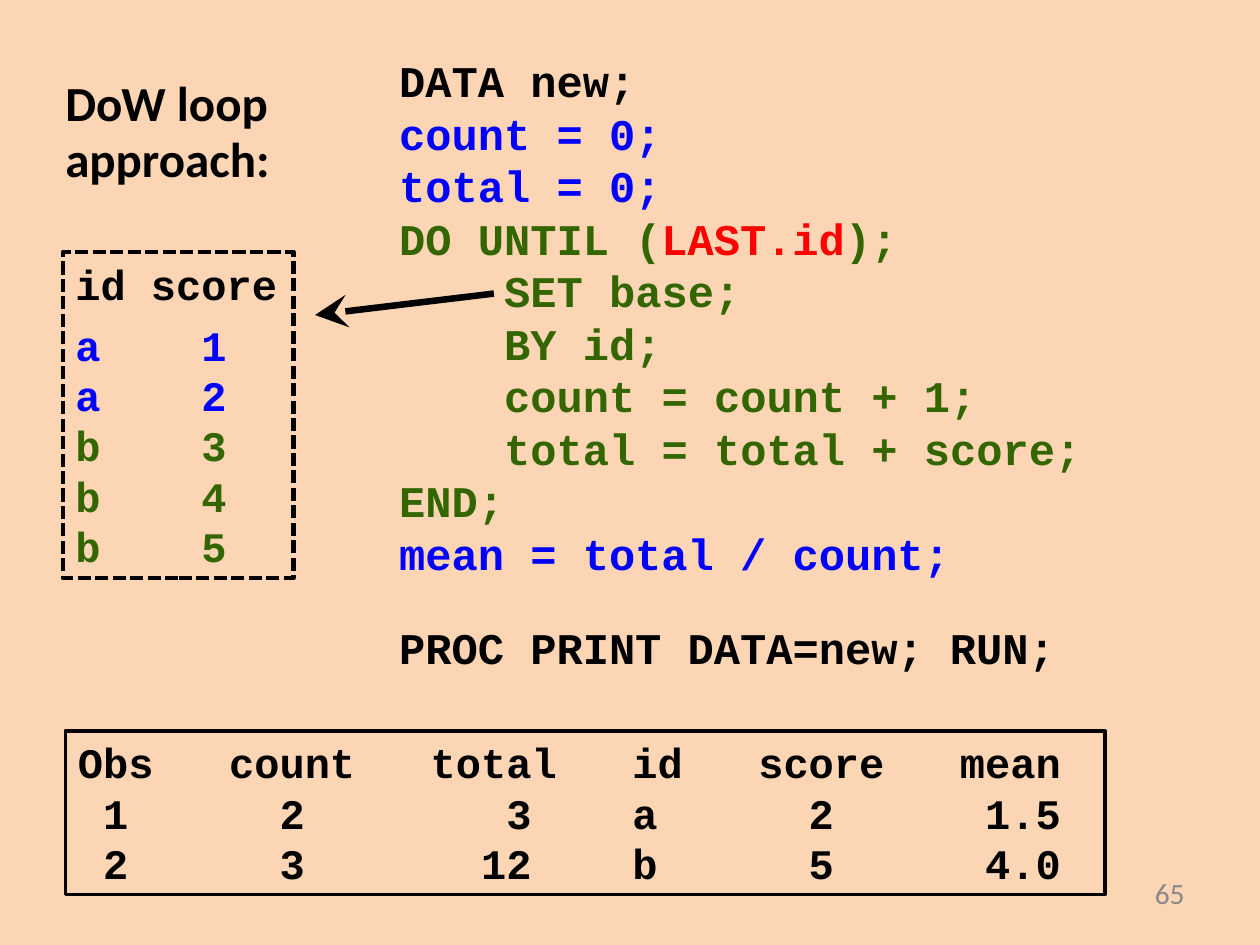
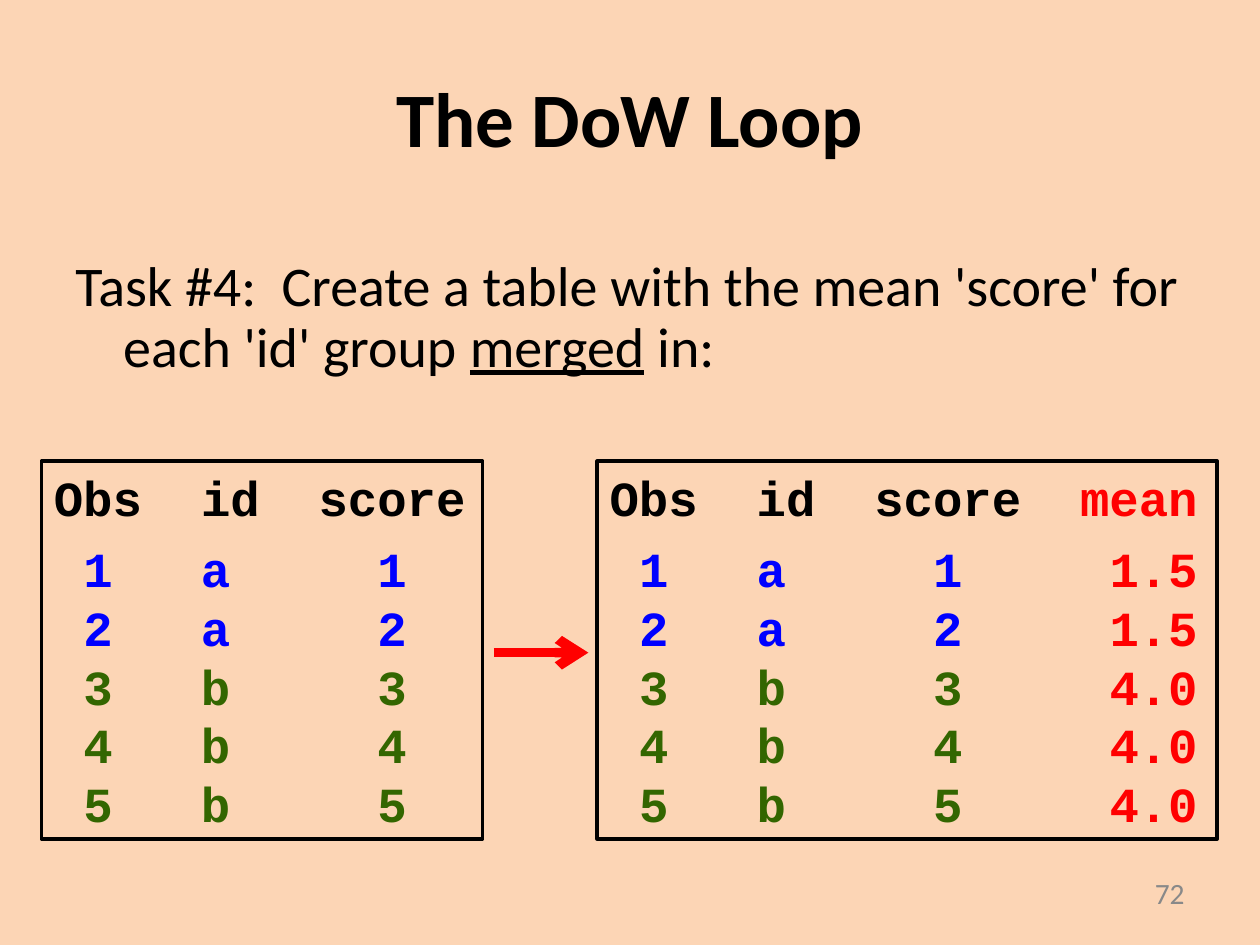
import dataclasses
import typing

import lxml.etree
import pptx
import pptx.dml.color
import pptx.enum.dml
import pptx.enum.shapes
import pptx.enum.text
import pptx.oxml.ns
import pptx.util

Inches = pptx.util.Inches
Pt = pptx.util.Pt
Align = pptx.enum.text.PP_ALIGN
Anchor = pptx.enum.text.MSO_ANCHOR
Dash = pptx.enum.dml.MSO_LINE
qn = pptx.oxml.ns.qn


# Theme
@dataclasses.dataclass(frozen=True)
class Theme:
    back: str = "FCD5B5"
    black: str = "000000"
    blue: str = "0000FF"
    green: str = "336600"
    red: str = "FF0000"
    gray: str = "898989"
    sans: str = "Calibri"
    mono: str = "Courier New"
    title: float = 44
    body: float = 32
    label: float = 28
    code: float = 25
    small: float = 24
    large: float = 28
    page: float = 16.8
    pitch: float = 0.6  # width of a mono letter, in ems


T = Theme()


class Box(typing.NamedTuple):
    left: float
    top: float
    width: float
    height: float


class Run(typing.NamedTuple):
    text: str
    color: str = T.black
    under: bool = False


@dataclasses.dataclass
class Para:
    runs: list[Run]
    align: Align = Align.LEFT
    space: float = 1.0
    before: float = 0
    after: float = 0
    margin: float = 0
    hang: float = 0
    stops: tuple[float, ...] = ()


@dataclasses.dataclass
class Style:
    size: float
    font: str = T.sans
    bold: bool = False
    anchor: Anchor = Anchor.TOP


@dataclasses.dataclass
class Table:
    box: Box
    size: float
    heads: tuple[int, ...]  # right edges of the heading words, in letters
    ends: tuple[int, ...]  # right edges of the values, in letters
    rows: list[list[Run]]
    gap: float = 0
    weight: float = 2
    dash: Dash | None = None


# Text
def rgb(code: str) -> pptx.dml.color.RGBColor:
    return pptx.dml.color.RGBColor.from_string(code)


def letters(count: float, size: float) -> float:
    return count * size * T.pitch / 72


def write(shape, paras: list[Para], style: Style) -> None:
    frame = shape.text_frame
    frame.word_wrap = True
    frame.vertical_anchor = style.anchor
    for i, para in enumerate(paras):
        p = frame.paragraphs[0] if i == 0 else frame.add_paragraph()
        p.alignment = para.align
        p.line_spacing = para.space
        p.space_before = Pt(para.before)
        p.space_after = Pt(para.after)
        props = p._p.get_or_add_pPr()
        # An explicit indent resets the tab stops, so set it only when needed
        if para.margin:
            props.set("marL", str(Inches(para.margin)))
        if para.hang:
            props.set("indent", str(Inches(-para.hang)))
        if para.stops:
            tabs = lxml.etree.SubElement(props, qn("a:tabLst"))
            for stop in para.stops:
                lxml.etree.SubElement(tabs, qn("a:tab"), pos=str(Inches(stop)), algn="r")
        for part in para.runs:
            run = p.add_run()
            run.text = part.text
            font = run.font
            font.name, font.size, font.bold = style.font, Pt(style.size), style.bold
            font.underline = part.under
            font.color.rgb = rgb(part.color)


def add_text(slide, box: Box, paras: list[Para], style: Style) -> None:
    write(slide.shapes.add_textbox(*map(Inches, box)), paras, style)


# Framed listing, its columns set by right tabs
def align_row(row: list[Run], edges: tuple[int, ...], size: float, gap: float) -> Para:
    flush = len(row[0].text) == edges[0]  # first cell starts at the margin
    runs = [cell if flush and i == 0 else cell._replace(text="\t" + cell.text)
            for i, cell in enumerate(row)]
    stops = edges[1:] if flush else edges
    return Para(runs, after=gap, stops=tuple(letters(edge, size) for edge in stops))


def add_list(slide, table: Table) -> None:
    shape = slide.shapes.add_shape(
        pptx.enum.shapes.MSO_SHAPE.RECTANGLE, *map(Inches, table.box))
    shape.shadow.inherit = False
    shape.fill.background()
    shape.line.color.rgb = rgb(T.black)
    shape.line.width = Pt(table.weight)
    if table.dash:
        shape.line.dash_style = table.dash
    head, *rest = table.rows
    paras = [align_row(head, table.heads, table.size, table.gap)]
    paras += [align_row(row, table.ends, table.size, 0) for row in rest]
    write(shape, paras, Style(table.size, T.mono, True))


def cells(words: str, color: str = T.black) -> list[Run]:
    return [Run(word, color) for word in words.split()]


def add_arrow(slide, start: tuple[float, float], end: tuple[float, float],
              color: str, weight: float, head: str, scale: str = "med") -> None:
    line = slide.shapes.add_connector(
        pptx.enum.shapes.MSO_CONNECTOR.STRAIGHT, *map(Inches, start + end))
    line.line.color.rgb = rgb(color)
    line.line.width = Pt(weight)
    lxml.etree.SubElement(line.line._get_or_add_ln(), qn("a:tailEnd"),
                          type=head, w=scale, len=scale)
    lxml.etree.SubElement(line._element.spPr, qn("a:effectLst"))


def add_slide(deck, page: str):
    slide = deck.slides.add_slide(deck.slide_layouts[6])
    slide.background.fill.solid()
    slide.background.fill.fore_color.rgb = rgb(T.back)
    add_text(slide, Box(7.17, 6.91, 2.33, 0.4),
             [Para([Run(page, T.gray)], Align.RIGHT, space=0.8)],
             Style(T.page, anchor=Anchor.MIDDLE))
    return slide


def groups() -> list[tuple[str, int, str]]:
    return [(key, i, T.blue if key == "a" else T.green)
            for i, key in enumerate("aabbb", 1)]


# Slide with the loop code
def draw_code(deck) -> None:
    slide = add_slide(deck, "65")
    add_text(slide, Box(0.42, 0.58, 1.92, 1),
             [Para([Run(word)], space=0.9, after=1.8, margin=0.38, hang=0.38)
              for word in ("DoW loop", "approach:")],
             Style(T.label, bold=True))
    add_list(slide, Table(
        Box(0.52, 5.8, 8.25, 1.3), T.small,
        (3, 11, 19, 24, 32, 39), (2, 9, 18, 23, 30, 39),
        [cells("Obs count total id score mean"),
         cells("1 2 3 a 2 1.5"),
         cells("2 3 12 b 5 4.0")]))

    step = letters(4, T.code)
    code = [Para([Run("DATA new;")])]
    code += [Para([Run(text, T.blue)]) for text in ("count = 0;", "total = 0;")]
    code.append(Para([Run("DO UNTIL (", T.green), Run("LAST.id", T.red),
                      Run(");", T.green)]))
    code += [Para([Run(text, T.green)], margin=step) for text in (
        "SET base;", "BY id;", "count = count + 1;", "total = total + score;")]
    code += [Para([Run("END;", T.green)]),
             Para([Run("mean = total / count;", T.blue)]),
             Para([Run("PROC PRINT DATA=new; RUN;")], before=24)]
    add_text(slide, Box(3.07, 0.38, 5.71, 5.02), code, Style(T.code, T.mono, True))

    data = [cells(f"{key} {score}", color) for key, score, color in groups()]
    add_list(slide, Table(
        Box(0.5, 2, 1.83, 2.59), T.small, (2, 8), (1, 6),
        [cells("id score")] + data, gap=6, weight=2.5, dash=Dash.SQUARE_DOT))
    add_arrow(slide, (3.92, 2.33), (2.5, 2.5), T.black, 3.75, "stealth", "lg")


# Slide with the merge task
def draw_task(deck) -> None:
    slide = add_slide(deck, "72")
    add_text(slide, Box(0.5, 0.3, 9, 1.25),
             [Para([Run("The DoW Loop")], Align.CENTER)],
             Style(T.title, bold=True, anchor=Anchor.MIDDLE))
    task = "Task #4:  Create a table with the mean 'score' for each 'id' group "
    add_text(slide, Box(0.5, 2, 9, 1.42),
             [Para([Run(task), Run("merged", under=True), Run(" in:")],
                   space=0.9, before=8, margin=0.38, hang=0.38)],
             Style(T.body))

    base = [cells("Obs id score")]
    base += [cells(f"{score} {key} {score}", color) for key, score, color in groups()]
    means = ["mean"] + ["1.5" if key == "a" else "4.0" for key, _, _ in groups()]
    full = [row + [Run(mean, T.red)] for row, mean in zip(base, means)]
    heads, ends = (3, 7, 14), (2, 6, 12)
    add_list(slide, Table(Box(4.74, 3.66, 4.92, 3), T.large,
                          heads + (20,), ends + (20,), full, gap=7))
    add_list(slide, Table(Box(0.33, 3.66, 3.5, 3), T.large, heads, ends, base, gap=7))
    add_arrow(slide, (3.92, 5.18), (4.67, 5.18), T.red, 5.5, "arrow")


def main() -> None:
    deck = pptx.Presentation()
    deck.slide_width, deck.slide_height = Inches(10), Inches(7.5)
    draw_code(deck)
    draw_task(deck)
    deck.save("out.pptx")


if __name__ == "__main__":
    main()
